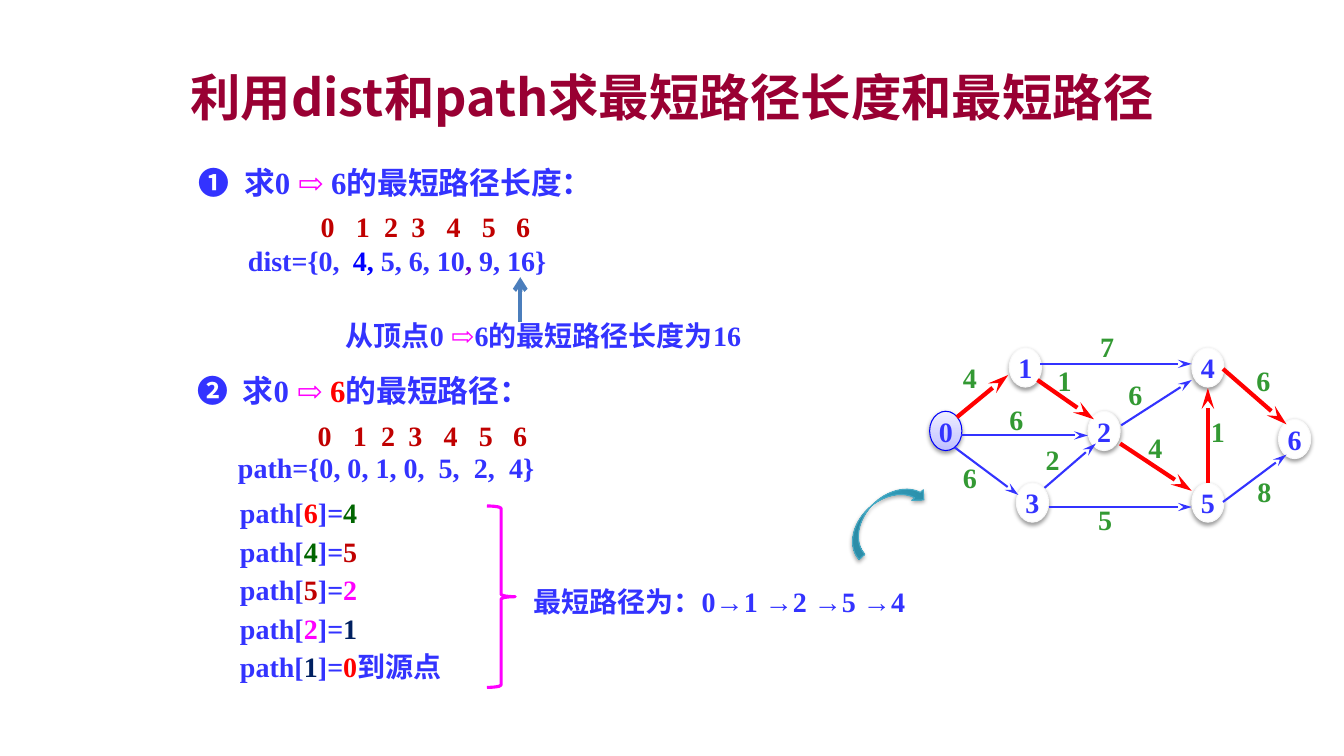
from pptx import Presentation
from pptx import util as u
from pptx.dml.color import RGBColor
from pptx.enum import shapes, text
from pptx.oxml import parse_xml
from pptx.oxml.ns import qn

NS = 'xmlns:a="http://schemas.openxmlformats.org/drawingml/2006/main"'
SERIF, SANS = "Times New Roman", "Noto Sans CJK SC"
BLUE, RED, PINK, BRICK = "3333FF", "FF0000", "FF00FF", "C00000"
FOREST, NAVY, LEAF = "006600", "002060", "339933"
INDEX_TABS = [0.35, 0.63, 0.9, 1.25, 1.6, 1.94]


def rgb(value):
    return RGBColor.from_string(value)


def inches(*values):
    return [u.Inches(value) for value in values]


def write(frame, lines, size=20, font=SERIF, tabs=(), frame_format=None, para_format=None, gap=0):
    """Fill a frame with lines, each a list of (words, colour) spans."""
    layout = {"margin_left": 0, "margin_right": 0, "margin_top": 0, "margin_bottom": 0,
              "word_wrap": True, **(frame_format or {})}
    for name, value in layout.items():
        setattr(frame, name, value)
    for number, spans in enumerate(lines):
        para = frame.add_paragraph() if number else frame.paragraphs[0]
        if tabs:
            stops = "".join(f'<a:tab pos="{u.Inches(stop)}" algn="l"/>' for stop in tabs)
            para._p.get_or_add_pPr().append(parse_xml(f"<a:tabLst {NS}>{stops}</a:tabLst>"))
        for name, value in (para_format or {}).items():
            setattr(para, name, value)
        if number and gap:
            para.space_before = u.Pt(gap)
        for words, colour in spans:
            span = para.add_run()
            span.text = words
            for name, value in {"size": u.Pt(size), "bold": True, "name": font}.items():
                setattr(span.font, name, value)
            span.font.color.rgb = rgb(colour)
            span.font._element.append(parse_xml(f'<a:ea {NS} typeface="{SANS}"/>'))


def add_text(page, box, lines, **options):
    write(page.shapes.add_textbox(*inches(*box)).text_frame, lines, **options)


def add_outline(page, kind, box, line, width):
    shape = page.shapes.add_shape(kind, *inches(*box))
    shape.shadow.inherit = False
    shape.fill.background()
    shape.line.color.rgb = rgb(line)
    shape.line.width = u.Pt(width)
    return shape


def fill_gradient(shape, stops):
    shape.fill.gradient()
    gradient = shape._element.spPr.find(qn("a:gradFill"))
    marks = "".join(f'<a:gs pos="{place * 1000}"><a:srgbClr val="{colour}"/></a:gs>'
                    for place, colour in stops)
    gradient.getparent().replace(gradient, parse_xml(
        f'<a:gradFill {NS} rotWithShape="1"><a:gsLst>{marks}</a:gsLst>'
        '<a:lin ang="16200000" scaled="0"/></a:gradFill>'))


def drop_shadow(shape, opacity, distance):
    shape._element.spPr.find(qn("a:effectLst")).append(parse_xml(
        f'<a:outerShdw {NS} blurRad="{u.Pt(3.1)}" dist="{u.Pt(distance)}" dir="5400000" '
        f'rotWithShape="0"><a:srgbClr val="000000"><a:alpha val="{opacity * 1000}"/>'
        '</a:srgbClr></a:outerShdw>'))


def add_arrow(page, ends, colour, width, head="stealth", length="lg"):
    arrow = page.shapes.add_connector(shapes.MSO_CONNECTOR.STRAIGHT, *inches(*ends))
    arrow.line.color.rgb = rgb(colour)
    arrow.line.width = u.Pt(width)
    arrow.line._get_or_add_ln().append(
        parse_xml(f'<a:tailEnd {NS} type="{head}" w="med" len="{length}"/>'))
    arrow._element.spPr.append(parse_xml(f"<a:effectLst {NS}/>"))


def add_title(page, box):
    add_text(page, box, [[("利用dist和path求最短路径长度和最短路径", "990033")]], size=36, font=SANS,
             frame_format={"vertical_anchor": text.MSO_ANCHOR.MIDDLE},
             para_format={"alignment": text.PP_ALIGN.CENTER})


def add_index_row(page, left, top):
    add_text(page, (left, top, 2.22, 0.34), [[("\t".join("0123456"), BRICK)]], tabs=INDEX_TABS)


def add_length_part(page, left, top):
    add_text(page, (left, top, 4.02, 0.37),
             [[("❶\t求0 ", BLUE), ("⇨ ", PINK), ("6的最短路径长度：", BLUE)]], size=22, tabs=[0.45])
    add_index_row(page, left + 1.21, top + 0.46)
    add_text(page, (left + 0.49, top + 0.8, 3.24, 0.34),
             [[("dist={0,\t", BLUE), ("4, ", "0000FF"), ("5, 6, 10", BLUE),
               (", ", "6600CC"), ("9, 16}", BLUE)]], tabs=[1.04])
    # Note pointing at the last distance
    add_text(page, (left + 1.46, top + 1.66, 4.14, 0.2),
             [[("从顶点0", BLUE), (" ⇨", PINK), ("6的最短路径长度为16", BLUE)]],
             para_format={"line_spacing": 0.6})
    tip = left + 3.19
    add_arrow(page, (tip, top + 1.57, tip, top + 1.13), "4B7EBC", 3, "arrow", "med")


def add_path_part(page, left, top):
    add_text(page, (left, top, 3.55, 0.37),
             [[("❷\t求0 ", BLUE), ("⇨", PINK), (" 6", RED), ("的最短路径：", BLUE)]],
             size=22, tabs=[0.45])
    add_index_row(page, left + 1.19, top + 0.46)
    add_text(page, (left + 0.4, top + 0.78, 3.75, 0.34),
             [[("path={0, 0, 1, 0,\t5,\t2,\t4}", BLUE)]], tabs=[1.99, 2.34, 2.69])
    # Steps back from vertex 6 to the source
    trail = [("6", RED), ("4", FOREST), ("5", BRICK), ("2", PINK), ("1", NAVY), ("0", RED)]
    steps = [[("path[", BLUE), vertex, ("]=", BLUE), previous]
             for vertex, previous in zip(trail, trail[1:])]
    steps[-1].append(("到源点", BLUE))
    add_text(page, (left + 0.42, top + 1.32, 2.68, 1.85), steps,
             para_format={"line_spacing": 0.7}, gap=10.7)
    # Brace and result
    add_outline(page, shapes.MSO_SHAPE.RIGHT_BRACE, (left + 2.87, top + 1.33, 0.28, 1.8), PINK, 2.25)
    add_text(page, (left + 3.33, top + 2.11, 4.96, 0.34), [[("最短路径为：0→1 →2 →5 →4", BLUE)]])


def add_curved_arrow(page, box):
    arrow = add_outline(page, shapes.MSO_SHAPE.CURVED_LEFT_ARROW, box, "46AAC5", 0.75)
    arrow.rotation = 227.3
    fill_gradient(arrow, [(0, "2A88A2"), (80, "37B1D2"), (100, "34B4D6")])
    drop_shadow(arrow, 35, 1.8)


def add_graph(page, left, top):
    nodes = {"0": (0, 0.86), "1": (0.79, 0.23), "3": (0.86, 1.57), "2": (1.57, 0.86),
             "4": (2.6, 0.23), "5": (2.6, 1.57), "6": (3.46, 0.94)}
    # Each edge: start and end, weight, centre of the weight, on the shortest tree or not
    edges = [((0.27, 0.92, 0.78, 0.5), "4", (0.4, 0.53), True),
             ((0.31, 1.1, 1.57, 1.1), "6", (0.86, 0.94), False),
             ((0.25, 1.22, 0.88, 1.69), "6", (0.4, 1.52), False),
             ((1.1, 0.39, 2.6, 0.39), "7", (1.76, 0.22), False),
             ((1.18, 1.81, 2.6, 1.81), "5", (1.74, 1.94), False),
             ((1.14, 1.62, 1.65, 1.18), "2", (1.22, 1.34), False),
             ((1.07, 0.55, 1.63, 0.94), "1", (1.34, 0.56), True),
             ((1.9, 1, 2.6, 0.55), "6", (2.04, 0.7), False),
             ((1.89, 1.18, 2.6, 1.65), "4", (2.24, 1.22), True),
             ((2.76, 1.57, 2.76, 0.63), "1", (2.86, 1.06), True),
             ((2.91, 1.76, 3.54, 1.29), "8", (3.32, 1.66), False),
             ((2.91, 0.44, 3.54, 0.99), "6", (3.31, 0.56), True)]
    centred = {"alignment": text.PP_ALIGN.CENTER}
    # Vertices
    for name, (across, down) in nodes.items():
        source = name == "0"
        node = add_outline(page, shapes.MSO_SHAPE.OVAL, (left + across, top + down, 0.32, 0.39),
                           "0000F9" if source else "F9F9F9", 0.75)
        if source:
            fill_gradient(node, [(0, "BDBDFF"), (35, "D1D1FF"), (100, "EEEEFF")])
        else:
            node.fill.solid()
            node.fill.fore_color.rgb = rgb("FFFFFF")
        drop_shadow(node, 38, 1.6)
        write(node.text_frame, [[(name, BLUE)]], para_format=centred,
              frame_format={"word_wrap": False, "vertical_anchor": text.MSO_ANCHOR.MIDDLE})
    # Edges and weights
    for (x1, y1, x2, y2), weight, (across, down), shortest in edges:
        add_arrow(page, (left + x1, top + y1, left + x2, top + y2),
                  RED if shortest else BLUE, 3 if shortest else 1.5)
        add_text(page, (left + across - 0.15, top + down - 0.17, 0.3, 0.33),
                 [[(weight, LEAF)]], para_format=centred)


def main():
    deck = Presentation()
    deck.slide_width, deck.slide_height = inches(13.33, 7.5)
    page = deck.slides.add_slide(deck.slide_layouts[6])
    add_title(page, (1, 0.58, 11.33, 0.75))
    add_length_part(page, 1.97, 1.62)
    add_path_part(page, 1.96, 3.69)
    add_curved_arrow(page, (8.61, 4.64, 0.31, 0.95))
    add_graph(page, 9.22, 3.22)
    deck.save("out.pptx")


if __name__ == "__main__":
    main()
